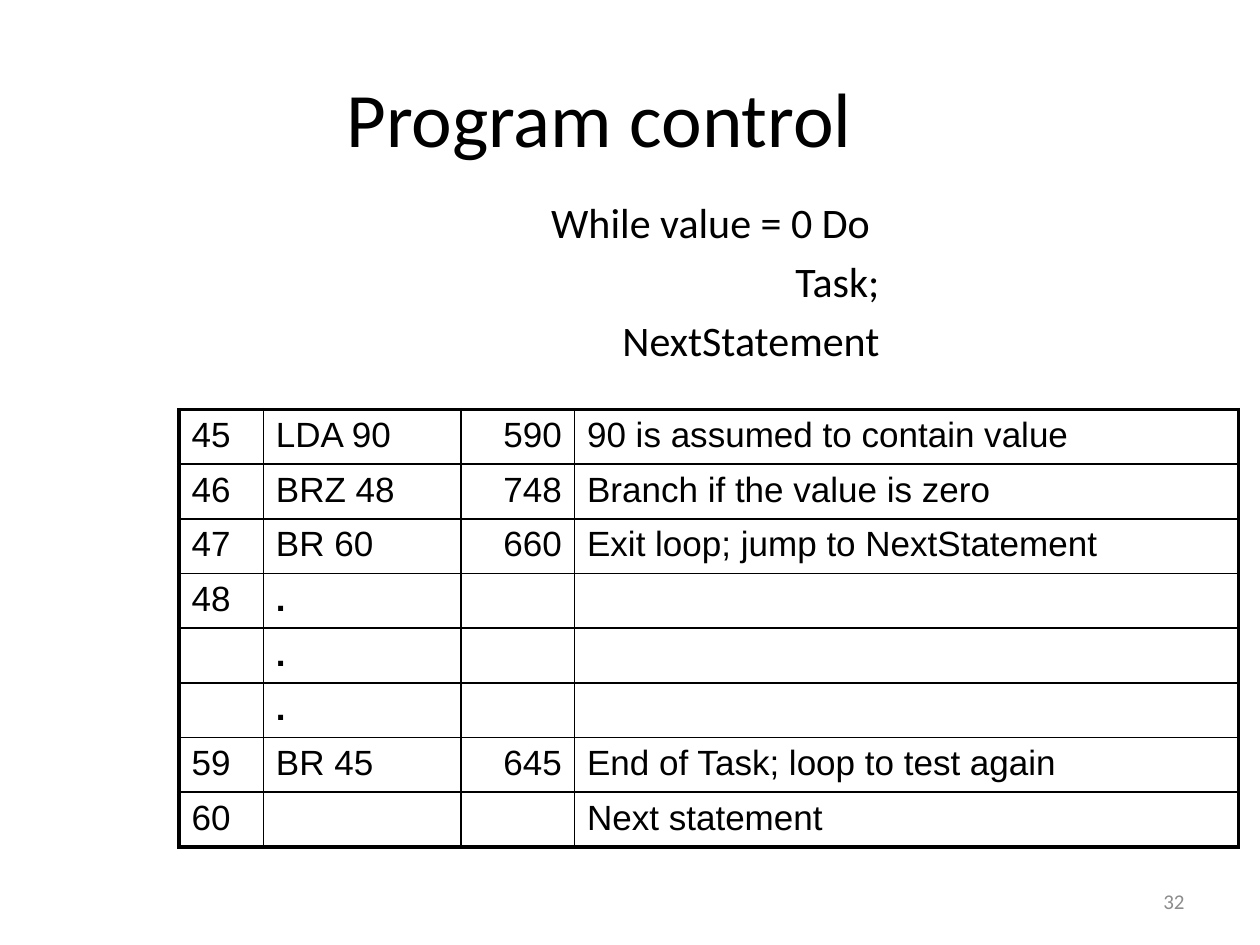
import pptx
import pptx.dml.color
import pptx.enum.text
import pptx.oxml.ns
import pptx.util
from lxml import etree

BLACK = pptx.dml.color.RGBColor(0x00, 0x00, 0x00)
GRAY = pptx.dml.color.RGBColor(0x8C, 0x8C, 0x8C)
ALIGN = pptx.enum.text.PP_ALIGN
ANCHOR = pptx.enum.text.MSO_ANCHOR
Inches = pptx.util.Inches
Pt = pptx.util.Pt

# Boxes are left, top, width, height in inches
TITLE_BOX = (0.5, 0.3, 9, 1.25)
CODE_BOX = (3.75, 1.51, 3.33, 1.59)
TABLE_BOX = (1.42, 3.25, 8.42, 3.28)
NUMBER_BOX = (7.17, 6.95, 2.33, 0.4)

COLUMN_WIDTHS = (0.67, 1.57, 0.9, 5.27)
THIN, THICK = 1, 2.25
PSEUDOCODE = ("While value = 0 Do ", "Task;", "NextStatement")
INSTRUCTIONS = (
    ("45", "LDA 90", "590", "90 is assumed to contain value"),
    ("46", "BRZ 48", "748", "Branch if the value is zero"),
    ("47", "BR 60", "660", "Exit loop; jump to NextStatement"),
    ("48", ".", "", ""),
    ("", ".", "", ""),
    ("", ".", "", ""),
    ("59", "BR 45", "645", "End of Task; loop to test again"),
    ("60", "", "", "Next statement"),
)


def place(shape, box):
    shape.left, shape.top, shape.width, shape.height = map(Inches, box)


def write(para, text, font="Calibri", size=20, color=BLACK, bold=False,
          align=ALIGN.LEFT, before=0):
    para.alignment = align
    para.space_before = Pt(before)
    if text:
        span = para.add_run()
        span.text = text
        span.font.name = font
        span.font.size = Pt(size)
        span.font.bold = bold
        span.font.color.rgb = color


def add_title(page, box):
    title = page.shapes.title
    place(title, box)
    title.text_frame.vertical_anchor = ANCHOR.MIDDLE
    # The trailing tab shifts the centred title to the left
    write(title.text_frame.paragraphs[0], "Program control\t", size=44,
          align=ALIGN.CENTER)


def add_pseudocode(page, box):
    body = page.placeholders[1]
    place(body, box)
    frame = body.text_frame
    frame.auto_size = pptx.enum.text.MSO_AUTO_SIZE.NONE
    for index, line in enumerate(PSEUDOCODE):
        para = frame.add_paragraph() if index else frame.paragraphs[0]
        write(para, line, size=24, align=ALIGN.RIGHT,
              before=4.8 if index else 0)
        properties = para._p.get_or_add_pPr()
        etree.SubElement(properties, pptx.oxml.ns.qn("a:buNone"))


def set_borders(cell, widths):
    properties = cell._tc.get_or_add_tcPr()
    for index, (side, width) in enumerate(widths.items()):
        line = etree.Element(pptx.oxml.ns.qn(f"a:ln{side}"), w=str(Pt(width)))
        fill = etree.SubElement(line, pptx.oxml.ns.qn("a:solidFill"))
        etree.SubElement(fill, pptx.oxml.ns.qn("a:srgbClr"), val=str(BLACK))
        properties.insert(index, line)


def add_instruction_table(page, box):
    last_row, last_column = len(INSTRUCTIONS) - 1, len(COLUMN_WIDTHS) - 1
    frame = page.shapes.add_table(last_row + 1, last_column + 1,
                                  *map(Inches, box))
    table = frame.table
    table.first_row = table.horz_banding = False
    for column, width in zip(table.columns, COLUMN_WIDTHS):
        column.width = Inches(width)
    for row, texts in enumerate(INSTRUCTIONS):
        table.rows[row].height = Inches(box[3] / len(INSTRUCTIONS))
        for column, text in enumerate(texts):
            cell = table.cell(row, column)
            cell.fill.background()
            write(cell.text_frame.paragraphs[0], text, font="Arial",
                  bold=text == ".",
                  align=ALIGN.RIGHT if column == 2 else ALIGN.LEFT)
            set_borders(cell, {
                "L": THICK if column == 0 else THIN,
                "R": THICK if column == last_column else THIN,
                "T": THICK if row == 0 else THIN,
                "B": THICK if row == last_row else THIN,
            })


def add_page_number(page, box):
    frame = page.shapes.add_textbox(*map(Inches, box)).text_frame
    frame.word_wrap = True
    frame.vertical_anchor = ANCHOR.MIDDLE
    write(frame.paragraphs[0], "32", size=12, color=GRAY, align=ALIGN.RIGHT)


def main():
    deck = pptx.Presentation()
    deck.slide_width, deck.slide_height = Inches(10), Inches(7.5)
    page = deck.slides.add_slide(deck.slide_layouts[1])
    add_title(page, TITLE_BOX)
    add_pseudocode(page, CODE_BOX)
    add_page_number(page, NUMBER_BOX)
    add_instruction_table(page, TABLE_BOX)
    deck.save("out.pptx")


if __name__ == "__main__":
    main()
